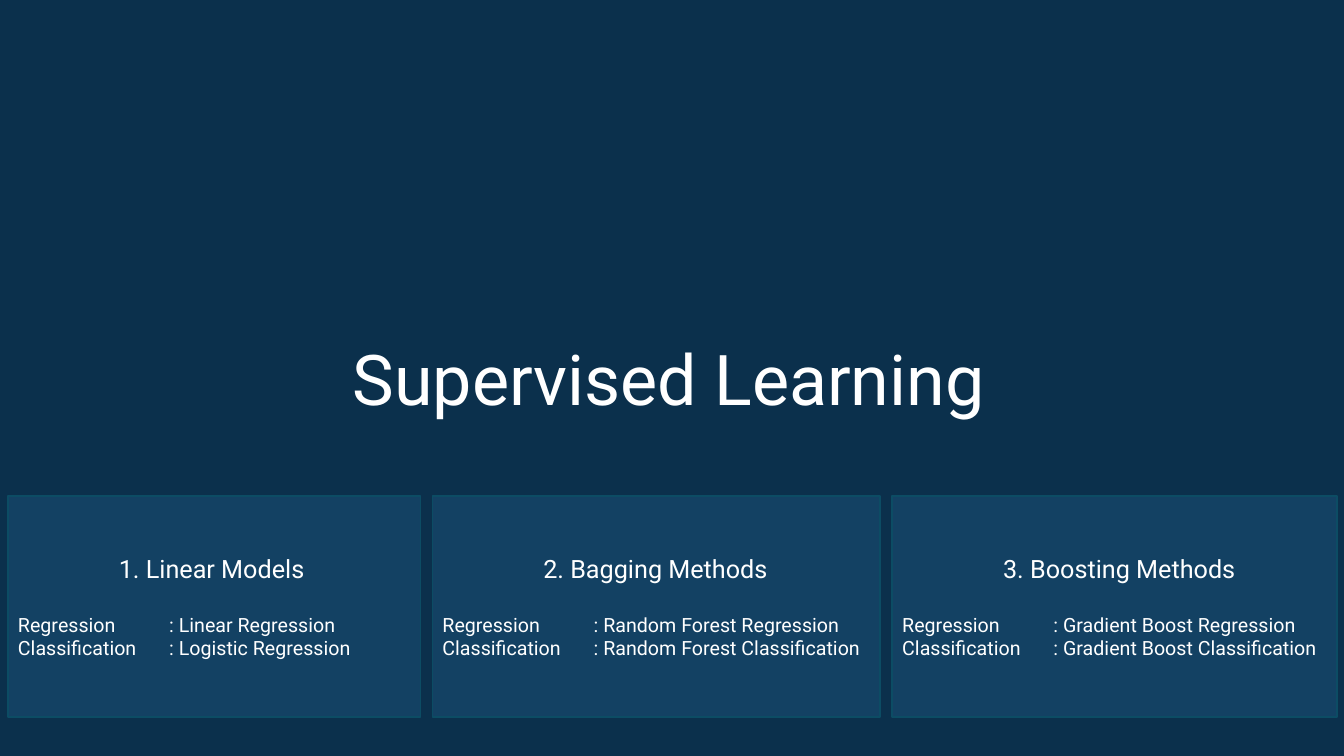
import itertools

import pptx
import pptx.dml.color
import pptx.enum.shapes
import pptx.enum.text
import pptx.oxml.ns
import pptx.util
from lxml import etree

TITLE = "Supervised Learning"
FAMILIES = [
    ("1. Linear Models", "Linear Regression", "Logistic Regression"),
    ("2. Bagging Methods", "Random Forest Regression", "Random Forest Classification"),
    ("3. Boosting Methods", "Gradient Boost Regression", "Gradient Boost Classification"),
]
TASKS = ("Regression", "Classification")

THEME = {
    "font": "Roboto",
    "background": "0B304C",
    "card": "134163",
    "border": "0C4C64",
    "text": "FFFFFF",
    "title_size": 50,
    "heading_size": 18,
    "detail_size": 14,
}
SLIDE_WIDTH, SLIDE_HEIGHT = 13.33, 7.5
TITLE_WIDTH, TITLE_HEIGHT, TITLE_TOP = 6.53, 0.94, 3.28
CARD_WIDTHS = (4.09, 4.44, 4.41)
CARD_TOP, CARD_HEIGHT = 4.92, 2.19
MARGIN, GAP = 0.08, 0.12
HEADING_INDENT, DETAIL_TAB = 1.0, 1.5
HEADING_GAP = 21

Inches, Pt = pptx.util.Inches, pptx.util.Pt


def color(name):
    return pptx.dml.color.RGBColor.from_string(THEME[name])


def apply(target, values):
    for name, value in values.items():
        setattr(target, name, value)


def write(para, text, size):
    span = para.add_run()
    span.text = text
    apply(span.font, {"name": THEME["font"], "size": Pt(THEME[size])})
    span.font.color.rgb = color("text")


def add_tab_stop(para, position):
    tabs = etree.SubElement(para._p.get_or_add_pPr(), pptx.oxml.ns.qn("a:tabLst"))
    etree.SubElement(tabs, pptx.oxml.ns.qn("a:tab"), pos=str(Inches(position)), algn="l")


def add_title(page):
    box = page.shapes.add_textbox(
        Inches((SLIDE_WIDTH - TITLE_WIDTH) / 2), Inches(TITLE_TOP),
        Inches(TITLE_WIDTH), Inches(TITLE_HEIGHT))
    apply(box.text_frame, {
        "word_wrap": False,
        "auto_size": pptx.enum.text.MSO_AUTO_SIZE.SHAPE_TO_FIT_TEXT,
    })
    write(box.text_frame.paragraphs[0], TITLE, "title_size")


def add_card(page, left, width, heading, methods):
    card = page.shapes.add_shape(
        pptx.enum.shapes.MSO_SHAPE.RECTANGLE,
        Inches(left), Inches(CARD_TOP), Inches(width), Inches(CARD_HEIGHT))
    card.shadow.inherit = False
    card.fill.solid()
    card.fill.fore_color.rgb = color("card")
    card.line.color.rgb = color("border")
    card.line.width = Pt(1.25)
    frame = card.text_frame
    apply(frame, {"word_wrap": True, "vertical_anchor": pptx.enum.text.MSO_ANCHOR.MIDDLE})

    para = frame.paragraphs[0]
    para.alignment = pptx.enum.text.PP_ALIGN.LEFT
    para._p.get_or_add_pPr().set("marL", str(Inches(HEADING_INDENT)))
    write(para, heading, "heading_size")
    for row, (task, method) in enumerate(zip(TASKS, methods)):
        para = frame.add_paragraph()
        apply(para, {
            "alignment": pptx.enum.text.PP_ALIGN.LEFT,
            "space_before": Pt(0 if row else HEADING_GAP),
        })
        add_tab_stop(para, DETAIL_TAB)
        write(para, f"{task}\t: {method}", "detail_size")


def main():
    deck = pptx.Presentation()
    apply(deck, {"slide_width": Inches(SLIDE_WIDTH), "slide_height": Inches(SLIDE_HEIGHT)})
    page = deck.slides.add_slide(deck.slide_layouts[6])
    page.background.fill.solid()
    page.background.fill.fore_color.rgb = color("background")
    add_title(page)
    lefts = itertools.accumulate(CARD_WIDTHS, lambda left, width: left + width + GAP, initial=MARGIN)
    for left, width, (heading, *methods) in zip(lefts, CARD_WIDTHS, FAMILIES):
        add_card(page, left, width, heading, methods)
    deck.save("out.pptx")


if __name__ == "__main__":
    main()
